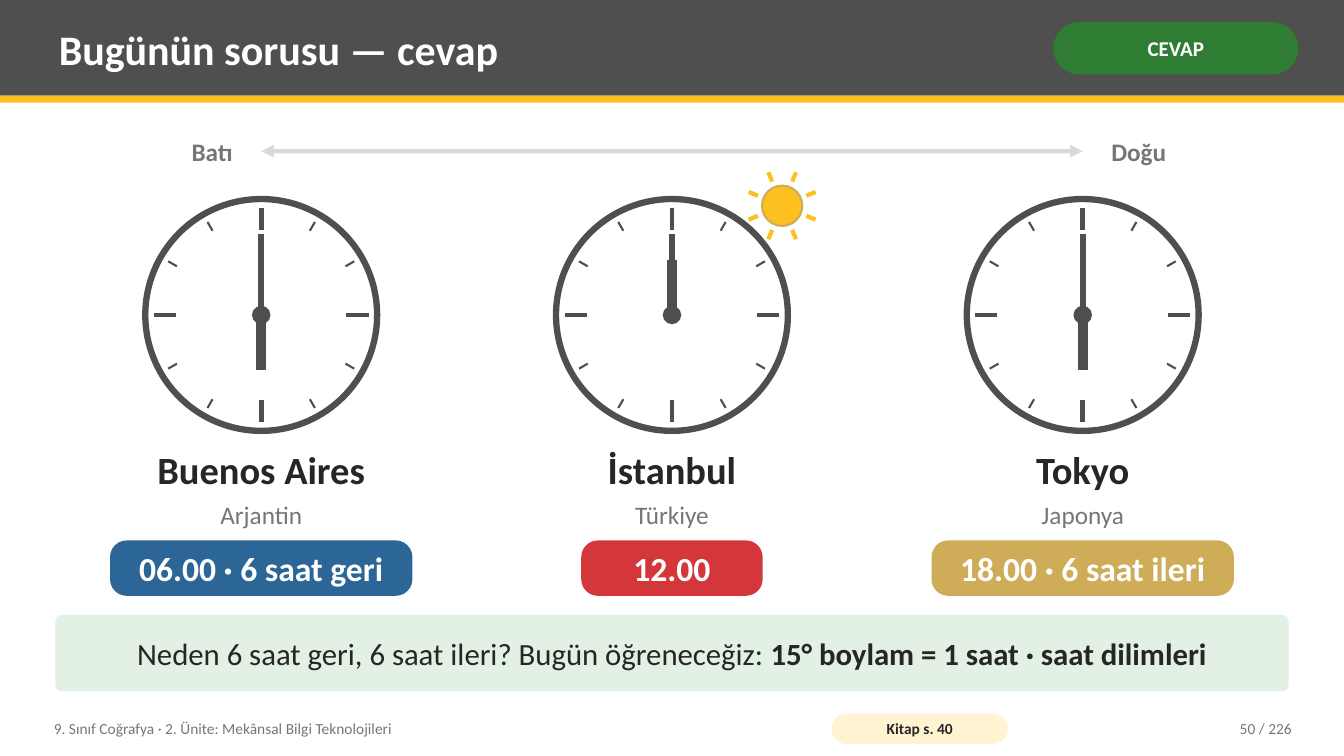
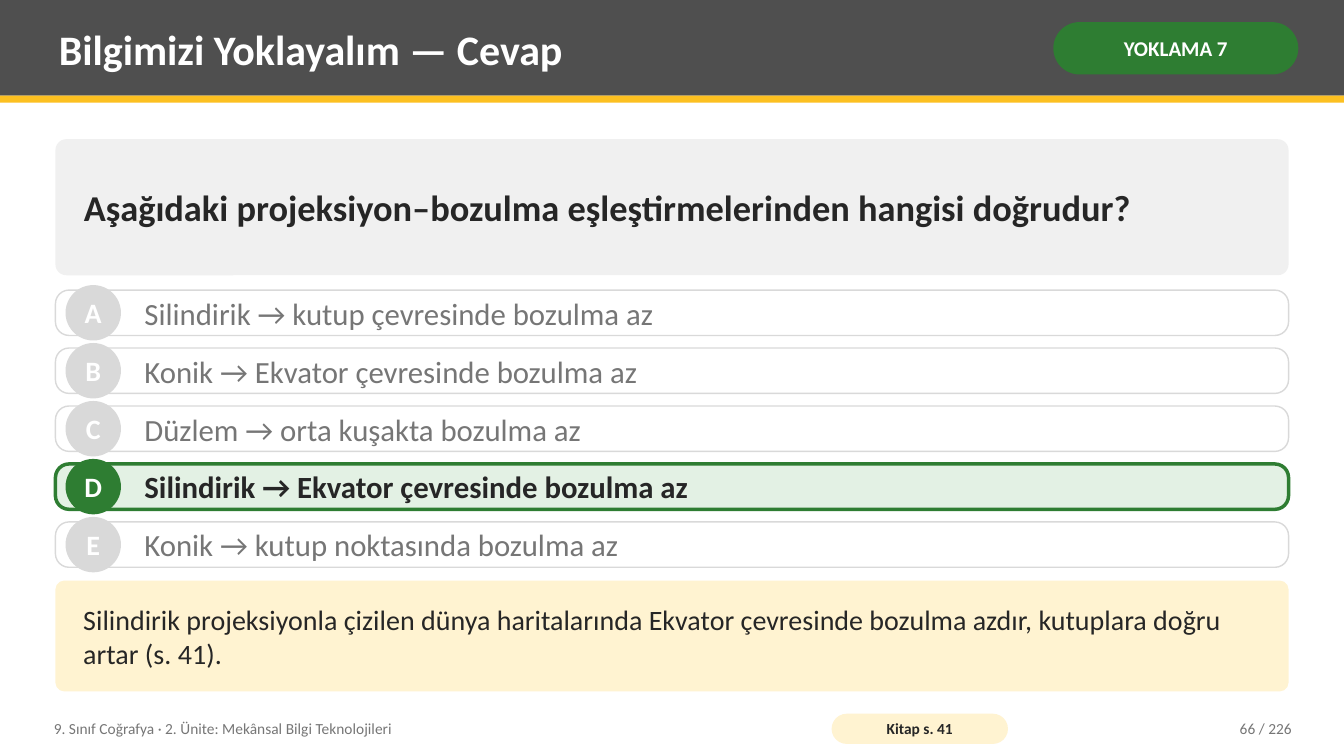
from math import cos, radians, sin

from lxml.etree import SubElement
from pptx import Presentation
from pptx.dml.color import RGBColor
from pptx.enum.shapes import MSO_CONNECTOR, MSO_SHAPE as Kind
from pptx.enum.text import MSO_ANCHOR, MSO_AUTO_SIZE, PP_ALIGN as Align
from pptx.oxml.ns import qn
from pptx.util import Pt

rgb = RGBColor.from_string
FONT = "Calibri"
WHITE, INK, GRAY, SILVER = "FFFFFF", "262626", "767676", "D9D9D9"
SLATE, AMBER, GOLD, CREAM = "4F4F4F", "FCC021", "CEAC58", "FFF3D1"
GREEN, MINT, BLUE, RED, PALE = "2E7D32", "E3F1E4", "2C6696", "D3373A", "F0F0F0"
PAGE_WIDTH, PAGE_HEIGHT = 960, 540
MARGIN, BODY_WIDTH = 39.6, 880.8


def put(page, text, left, top, width, height, *, kind=None, corner=None,
        fill=None, line=None, weight=1, size=18, color=INK, bold=False,
        bold_tail="", align=Align.LEFT, insets=(6, 3), wrap=True):
    area = [Pt(value) for value in (left, top, width, height)]
    if kind == "title":
        box = page.shapes.title
        box.left, box.top, box.width, box.height = area
    elif kind is None:
        box = page.shapes.add_textbox(*area)
    else:
        box = page.shapes.add_shape(kind, *area)
        box.shadow.inherit = False
    if corner is not None:
        box.adjustments[0] = corner
    if fill:
        box.fill.solid()
        box.fill.fore_color.rgb = rgb(fill)
    if line:
        box.line.color.rgb = rgb(line)
        box.line.width = Pt(weight)
    else:
        box.line.fill.background()
    frame = box.text_frame
    frame.word_wrap = wrap
    frame.auto_size = MSO_AUTO_SIZE.NONE
    frame.vertical_anchor = MSO_ANCHOR.MIDDLE
    frame.margin_left = frame.margin_right = Pt(insets[0])
    frame.margin_top = frame.margin_bottom = Pt(insets[1])
    para = frame.paragraphs[0]
    para.alignment = align
    for words, strong in ((text, bold), (bold_tail, True)):
        if words:
            span = para.add_run()
            span.text = words
            span.font.name = FONT
            span.font.size = Pt(size)
            span.font.bold = strong
            span.font.color.rgb = rgb(color)
    return box


def stroke(page, center, angle, start, end, color, weight, arrows=False):
    x, y = center
    across, down = sin(radians(angle)), -cos(radians(angle))
    ends = [Pt(value) for value in (x + start * across, y + start * down,
                                    x + end * across, y + end * down)]
    connector = page.shapes.add_connector(MSO_CONNECTOR.STRAIGHT, *ends)
    connector.line.color.rgb = rgb(color)
    connector.line.width = Pt(weight)
    properties = connector.element.find(qn("p:spPr"))
    if arrows:
        for tip in ("a:headEnd", "a:tailEnd"):
            SubElement(properties.find(qn("a:ln")), qn(tip), type="triangle")
    SubElement(properties, qn("a:effectLst"))


deck = Presentation()
deck.slide_width, deck.slide_height = Pt(PAGE_WIDTH), Pt(PAGE_HEIGHT)

pages = []
for heading, tag, book_page, number in (
    ("Bugünün sorusu — cevap", "CEVAP", 40, 50),
    ("Bilgimizi Yoklayalım — Cevap", "YOKLAMA 7", 41, 66),
):
    page = deck.slides.add_slide(deck.slide_layouts[5])
    pages.append(page)
    title = put(page, heading, 36, 5, 702, 59, kind="title",
                size=30, color=WHITE, bold=True)
    for top, height, fill in ((0, 68.4, SLATE), (68.4, 5, AMBER)):
        band = put(page, "", 0, top, PAGE_WIDTH, height,
                   kind=Kind.RECTANGLE, fill=fill)
        title.element.addprevious(band.element)
    put(page, tag, 752.4, 15.8, 175, 37.4, kind=Kind.ROUNDED_RECTANGLE,
        corner=0.5, fill=GREEN, size=15, color=WHITE, bold=True,
        align=Align.CENTER, insets=(3.6, 1.4))
    put(page, "9. Sınıf Coğrafya · 2. Ünite: Mekânsal Bilgi Teknolojileri",
        32.4, 507, 547, 26, size=11, color=GRAY)
    put(page, f"Kitap s. {book_page}", 594, 509.8, 126, 21.6,
        kind=Kind.ROUNDED_RECTANGLE, corner=0.5, fill=CREAM, size=11,
        bold=True, align=Align.CENTER, insets=(3, 0))
    put(page, f"{number} / 226", 813.6, 507, 115.2, 26, size=11, color=GRAY,
        align=Align.RIGHT)

clock_page, quiz_page = pages

MIDDLE, SPACING, CLOCK_Y, FACE, HUB = PAGE_WIDTH / 2, 293.4, 225, 82.8, 6.6
west, east = MIDDLE - SPACING, MIDDLE + SPACING
stroke(clock_page, (MIDDLE, 108), 90, -SPACING, SPACING, SILVER, 3, arrows=True)
put(clock_page, "Batı", west - 136.8, 93.6, 122.4, 28.8, color=GRAY, bold=True,
    align=Align.RIGHT)
put(clock_page, "Doğu", east + 14.4, 93.6, 122.4, 28.8, color=GRAY, bold=True)

for x, city, country, time, hour, pill_width, fill in (
    (west, "Buenos Aires", "Arjantin", "06.00 · 6 saat geri", 6, 216, BLUE),
    (MIDDLE, "İstanbul", "Türkiye", "12.00", 12, 129.6, RED),
    (east, "Tokyo", "Japonya", "18.00 · 6 saat ileri", 18, 216, GOLD),
):
    center = (x, CLOCK_Y)
    put(clock_page, "", x - FACE, CLOCK_Y - FACE, 2 * FACE, 2 * FACE,
        kind=Kind.OVAL, fill=WHITE, line=SLATE, weight=4.5)
    for tick in range(12):
        inner, weight = (69.5, 1.5) if tick % 3 else (60.9, 3.5)
        stroke(clock_page, center, tick * 30, inner, 76.7, SLATE, weight)
    stroke(clock_page, center, 0, 0, 58, SLATE, 4)
    stroke(clock_page, center, hour * 30, 0, 39, SLATE, 7)
    put(clock_page, "", x - HUB, CLOCK_Y - HUB, 2 * HUB, 2 * HUB,
        kind=Kind.OVAL, fill=SLATE)
    put(clock_page, city, x - 140.4, 315.4, 280.8, 39.6, size=27.5, bold=True,
        align=Align.CENTER)
    put(clock_page, country, x - 140.4, 352.8, 280.8, 28.8, color=GRAY,
        align=Align.CENTER)
    put(clock_page, time, x - pill_width / 2, 386, pill_width, 39.6,
        kind=Kind.ROUNDED_RECTANGLE, corner=0.3, fill=fill, size=24,
        color=WHITE, bold=True, align=Align.CENTER, insets=(10, 0))

SUN_X, SUN_Y, SUN = 558.7, 147, 14.4
for ray in range(8):
    stroke(clock_page, (SUN_X, SUN_Y), 22.5 + ray * 45, 18.7, 25.9, AMBER, 3)
put(clock_page, "", SUN_X - SUN, SUN_Y - SUN, 2 * SUN, 2 * SUN,
    kind=Kind.OVAL, fill=AMBER, line=GOLD, weight=1.5)

put(clock_page, "Neden 6 saat geri, 6 saat ileri? Bugün öğreneceğiz: ",
    MARGIN, 439.2, BODY_WIDTH, 54.7, kind=Kind.ROUNDED_RECTANGLE, corner=0.08,
    fill=MINT, size=22, bold_tail="15° boylam = 1 saat · saat dilimleri",
    align=Align.CENTER, insets=(10, 6))

put(quiz_page,
    "Aşağıdaki projeksiyon–bozulma eşleştirmelerinden hangisi doğrudur?",
    MARGIN, 99.4, BODY_WIDTH, 97.2, kind=Kind.ROUNDED_RECTANGLE, corner=0.08,
    fill=PALE, size=26, bold=True, insets=(18, 6))

ANSWER, ROW_HEIGHT, ROW_PITCH, BADGE = "D", 32.4, 41.4, 39.6
for row, (letter, option) in enumerate((
    ("A", "Silindirik → kutup çevresinde bozulma az"),
    ("B", "Konik → Ekvator çevresinde bozulma az"),
    ("C", "Düzlem → orta kuşakta bozulma az"),
    ("D", "Silindirik → Ekvator çevresinde bozulma az"),
    ("E", "Konik → kutup noktasında bozulma az"),
)):
    top = 207.2 + row * ROW_PITCH
    right = letter == ANSWER
    accent = GREEN if right else SILVER
    put(quiz_page, "", MARGIN, top, BODY_WIDTH, ROW_HEIGHT,
        kind=Kind.ROUNDED_RECTANGLE, corner=0.3, fill=MINT if right else WHITE,
        line=accent, weight=2.5 if right else 1)
    put(quiz_page, letter, 46.8, top + (ROW_HEIGHT - BADGE) / 2, BADGE, BADGE,
        kind=Kind.OVAL, fill=accent, size=20, color=WHITE, bold=True,
        align=Align.CENTER, insets=(0, 0), wrap=False)
    put(quiz_page, option, 97.2, top, 808.6, ROW_HEIGHT, size=22,
        color=INK if right else GRAY, bold=right)

put(quiz_page,
    "Silindirik projeksiyonla çizilen dünya haritalarında Ekvator çevresinde "
    "bozulma azdır, kutuplara doğru artar (s. 41).",
    MARGIN, 414.7, BODY_WIDTH, 79.2, kind=Kind.ROUNDED_RECTANGLE, corner=0.08,
    fill=CREAM, size=20, insets=(18, 6))

deck.save("out.pptx")
